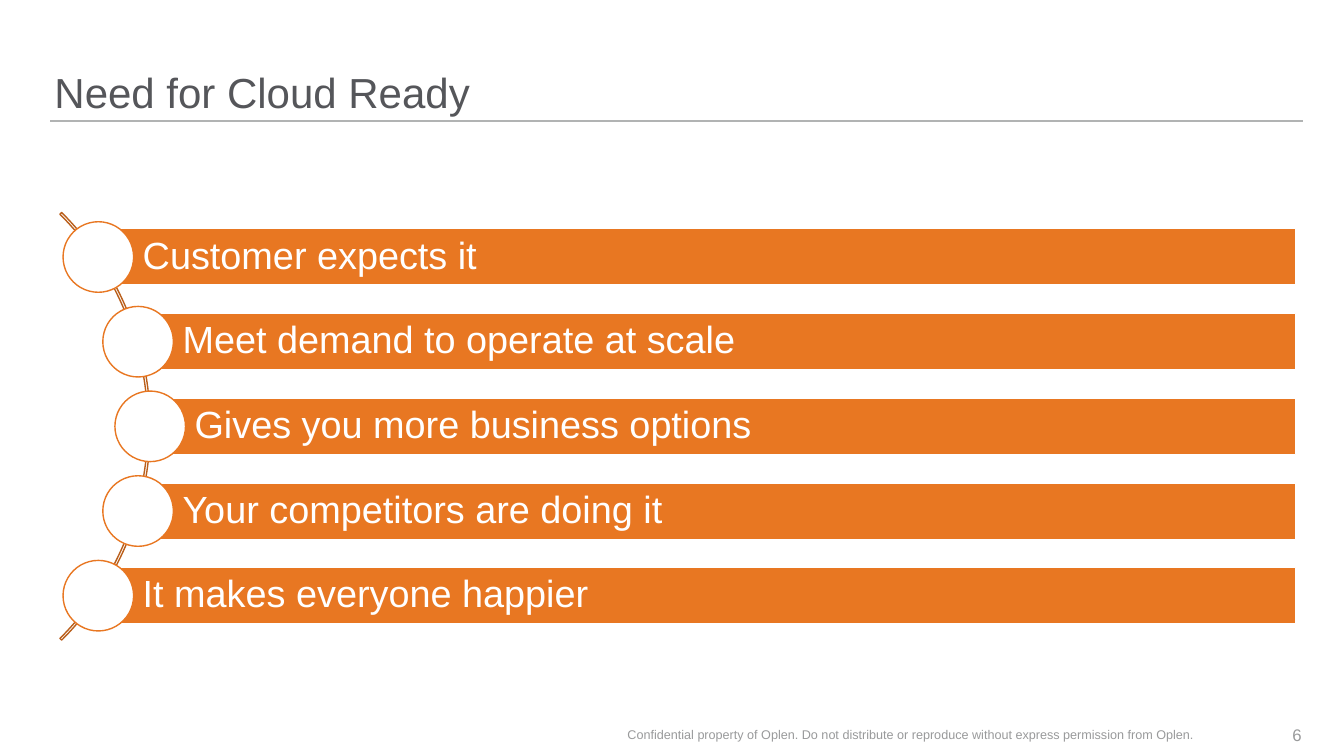
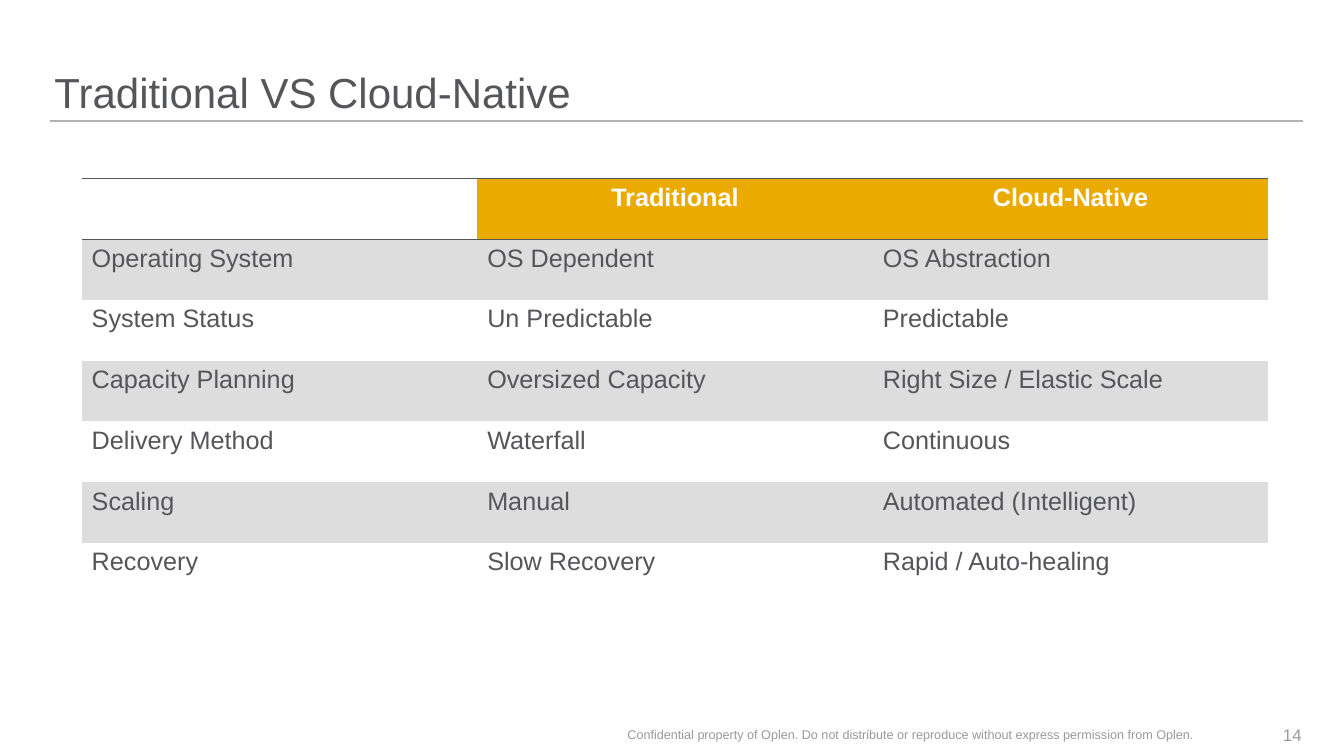
from dataclasses import dataclass
from math import sqrt

from lxml import etree
from pptx import Presentation
from pptx.dml.color import RGBColor
from pptx.enum.shapes import MSO_CONNECTOR, MSO_SHAPE
from pptx.enum.text import MSO_ANCHOR, MSO_AUTO_SIZE, PP_ALIGN
from pptx.oxml.ns import qn
from pptx.presentation import Presentation as Deck
from pptx.shapes.autoshape import Shape
from pptx.slide import Slide
from pptx.table import _Cell
from pptx.text.text import TextFrame
from pptx.util import Inches, Pt

LEFT, CENTER, RIGHT = PP_ALIGN.LEFT, PP_ALIGN.CENTER, PP_ALIGN.RIGHT
TOP, MIDDLE, BOTTOM = MSO_ANCHOR.TOP, MSO_ANCHOR.MIDDLE, MSO_ANCHOR.BOTTOM
RECTANGLE, OVAL, ARC = MSO_SHAPE.RECTANGLE, MSO_SHAPE.OVAL, MSO_SHAPE.BLOCK_ARC
STRAIGHT = MSO_CONNECTOR.STRAIGHT
NO_AUTOFIT = MSO_AUTO_SIZE.NONE

FONT = "Arial"
WHITE = "FFFFFF"
DARK_GREY = "55565A"
FOOTER_GREY = "999A9B"
RULE_GREY = "B1B3B3"
BAND_GREY = "DDDDDE"
ORANGE = "E87722"
DARK_ORANGE = "BA5F1B"
GOLD = "EAAA00"

TITLE_ONLY = 5
NO_STYLE_NO_GRID = "{2D5ABB26-0587-4C30-8999-92F81FD0307C}"
FOOTER = (
    "Confidential property of Oplen. Do not distribute or reproduce "
    "without express permission from Oplen."
)

REASONS = [
    "Customer expects it",
    "Meet demand to operate at scale",
    "Gives you more business options",
    "Your competitors are doing it",
    "It makes everyone happier",
]
COMPARISON = [
    ("", "Traditional", "Cloud-Native"),
    ("Operating System", "OS Dependent", "OS Abstraction"),
    ("System Status", "Un Predictable", "Predictable"),
    ("Capacity Planning", "Oversized Capacity", "Right Size / Elastic Scale"),
    ("Delivery Method", "Waterfall", "Continuous"),
    ("Scaling", "Manual", "Automated (Intelligent)"),
    ("Recovery", "Slow Recovery", "Rapid / Auto-healing"),
]


@dataclass(frozen=True)
class Box:
    left: float
    top: float
    width: float
    height: float

    def emu(self) -> tuple[int, int, int, int]:
        return (Inches(self.left), Inches(self.top),
                Inches(self.width), Inches(self.height))


TITLE_BOX = Box(0.54, 0, 8.89, 1.17)
FOOTER_BOX = Box(5.79, 7.09, 6.48, 0.4)
PAGE_BOX = Box(12.32, 7.09, 0.59, 0.4)
TABLE_BOX = Box(0.81, 1.77, 11.77, 4.22)

ARC_X, ARC_Y, ARC_RADIUS = -1.51, 4.23, 3.0
BAR_RIGHT, BAR_HEIGHT, BAR_PITCH = 12.85, 0.56, 0.84
CIRCLE_SIZE = 0.7


def rgb(color: str) -> RGBColor:
    return RGBColor.from_string(color)


def write(frame: TextFrame, text: str, *, size: float, color: str,
          align: PP_ALIGN = LEFT, anchor: MSO_ANCHOR = MIDDLE,
          bold: bool = False, spacing: float = 1.0,
          insets: tuple[float, float, float, float] = (0, 0, 0, 0)) -> None:
    frame.word_wrap = True
    frame.auto_size = NO_AUTOFIT
    frame.vertical_anchor = anchor
    (frame.margin_left, frame.margin_top,
     frame.margin_right, frame.margin_bottom) = map(Inches, insets)
    write_paragraph(frame, text, size, color, align, bold, spacing)


def write_paragraph(frame: TextFrame, text: str, size: float, color: str,
                    align: PP_ALIGN, bold: bool, spacing: float = 1.0) -> None:
    paragraph = frame.paragraphs[0]
    paragraph.alignment = align
    paragraph.line_spacing = spacing
    run = paragraph.add_run()
    run.text = text
    run.font.name = FONT
    run.font.size = Pt(size)
    run.font.bold = bold
    run.font.color.rgb = rgb(color)


def add_label(slide: Slide, box: Box, text: str, size: float,
              align: PP_ALIGN) -> None:
    label = slide.shapes.add_textbox(*box.emu())
    write(label.text_frame, text, size=size, color=FOOTER_GREY, align=align)


def add_figure(slide: Slide, preset: MSO_SHAPE, box: Box, line: str,
               fill: str | None = None) -> Shape:
    figure = slide.shapes.add_shape(preset, *box.emu())
    figure.shadow.inherit = False
    if fill is None:
        figure.fill.background()
    else:
        figure.fill.solid()
        figure.fill.fore_color.rgb = rgb(fill)
    figure.line.color.rgb = rgb(line)
    figure.line.width = Pt(1)
    return figure


def add_rule(slide: Slide) -> None:
    rule = slide.shapes.add_connector(
        STRAIGHT, Inches(0.5), Inches(1.2), Inches(12.92), Inches(1.2))
    rule.line.color.rgb = rgb(RULE_GREY)
    rule.line.width = Pt(1)
    etree.SubElement(rule._element.spPr, qn("a:effectLst"))


def add_framed_slide(deck: Deck, heading: str, page: int) -> Slide:
    slide = deck.slides.add_slide(deck.slide_layouts[TITLE_ONLY])
    add_rule(slide)
    title = slide.shapes.title
    title.left, title.top, title.width, title.height = TITLE_BOX.emu()
    write(title.text_frame, heading, size=30, color=DARK_GREY,
          anchor=BOTTOM, spacing=0.9)
    add_label(slide, FOOTER_BOX, FOOTER, 9, CENTER)
    add_label(slide, PAGE_BOX, str(page), 12, RIGHT)
    return slide


def add_reason(slide: Slide, reason: str, offset: float) -> None:
    center_x = ARC_X + sqrt(ARC_RADIUS ** 2 - offset ** 2)
    center_y = ARC_Y + offset
    bar = add_figure(
        slide, RECTANGLE,
        Box(center_x, center_y - BAR_HEIGHT / 2,
            BAR_RIGHT - center_x, BAR_HEIGHT),
        line=WHITE, fill=ORANGE)
    write(bar.text_frame, reason, size=27, color=WHITE, spacing=0.9,
          insets=(0.44, 0.07, 0.07, 0.07))
    add_figure(
        slide, OVAL,
        Box(center_x - CIRCLE_SIZE / 2, center_y - CIRCLE_SIZE / 2,
            CIRCLE_SIZE, CIRCLE_SIZE),
        line=ORANGE, fill=WHITE)


def build_reasons(deck: Deck) -> None:
    slide = add_framed_slide(deck, "Need for Cloud Ready", 6)
    arc = add_figure(
        slide, ARC,
        Box(ARC_X - ARC_RADIUS, ARC_Y - ARC_RADIUS,
            2 * ARC_RADIUS, 2 * ARC_RADIUS),
        line=DARK_ORANGE)
    for index, value in enumerate((189, 27, 0.004)):
        arc.adjustments[index] = value
    middle = (len(REASONS) - 1) / 2
    for index, reason in enumerate(REASONS):
        add_reason(slide, reason, (index - middle) * BAR_PITCH)


def add_header_borders(cell: _Cell) -> None:
    properties = cell._tc.get_or_add_tcPr()
    for position, side in enumerate(("a:lnT", "a:lnB")):
        border = etree.Element(qn(side), w=str(Pt(1)))
        fill = etree.SubElement(border, qn("a:solidFill"))
        etree.SubElement(fill, qn("a:srgbClr"), val=DARK_GREY)
        properties.insert(position, border)


def format_cell(cell: _Cell, text: str, fill: str | None,
                is_header: bool) -> None:
    cell.vertical_anchor = TOP
    if fill is None:
        cell.fill.background()
    else:
        cell.fill.solid()
        cell.fill.fore_color.rgb = rgb(fill)
    if is_header:
        add_header_borders(cell)
    if text:
        write_paragraph(cell.text_frame, text, 18,
                        WHITE if is_header else DARK_GREY,
                        CENTER if is_header else LEFT, is_header)


def build_comparison(deck: Deck) -> None:
    slide = add_framed_slide(deck, "Traditional VS Cloud-Native", 14)
    table = slide.shapes.add_table(
        len(COMPARISON), len(COMPARISON[0]), *TABLE_BOX.emu()).table
    table._tbl.tblPr.find(qn("a:tableStyleId")).text = NO_STYLE_NO_GRID
    for row, texts in enumerate(COMPARISON):
        for column, text in enumerate(texts):
            if row == 0:
                fill = GOLD if text else None
            else:
                fill = BAND_GREY if row % 2 else None
            format_cell(table.cell(row, column), text, fill, row == 0)


def main() -> None:
    deck = Presentation()
    deck.slide_width, deck.slide_height = Inches(13.33), Inches(7.5)
    build_reasons(deck)
    build_comparison(deck)
    deck.save("out.pptx")


if __name__ == "__main__":
    main()
